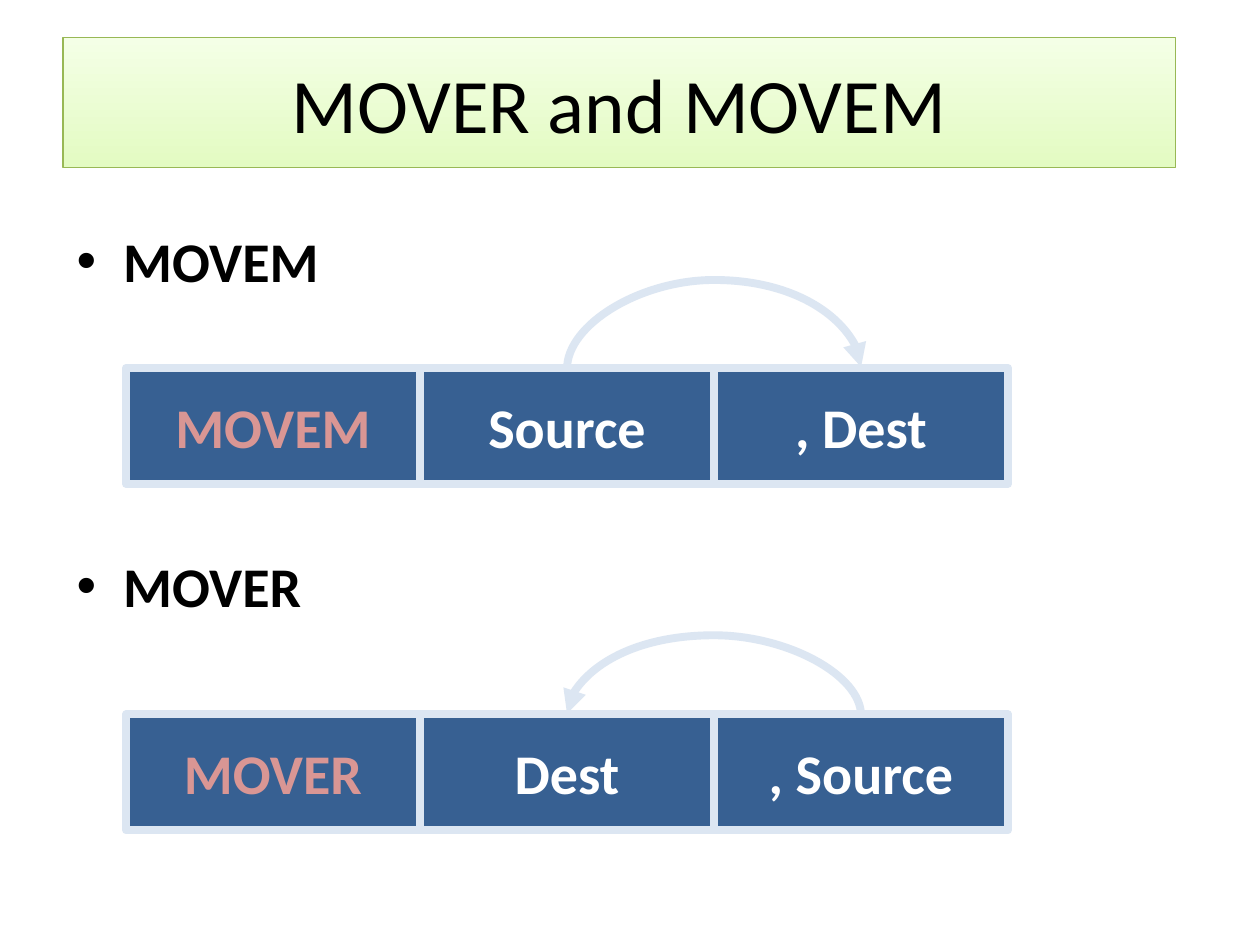
from pptx import Presentation
from pptx.dml.color import RGBColor
from pptx.enum.shapes import MSO_CONNECTOR, MSO_SHAPE
from pptx.enum.text import MSO_ANCHOR, PP_ALIGN
from pptx.oxml.ns import qn
from pptx.util import Inches, Pt
from lxml import etree

RECTANGLE = MSO_SHAPE.RECTANGLE
CURVE = MSO_CONNECTOR.CURVE
MIDDLE = MSO_ANCHOR.MIDDLE
CENTER = PP_ALIGN.CENTER
TOP_SIDE = 0

FONT = "Calibri"
COLORS = {
    "text": "000000",
    "title_bottom": "E3FBC2",
    "title_top": "F4FFE6",
    "title_line": "98B855",
    "cell": "376092",
    "cell_line": "DCE6F2",
    "opcode": "D99694",
    "operand": "FFFFFF",
}


def color(name):
    return RGBColor.from_string(COLORS[name])


def style_text(paragraph, size, color_name, bold=False):
    font = paragraph.runs[0].font
    font.name = FONT
    font.size = Pt(size)
    font.bold = bold
    font.color.rgb = color(color_name)


def add_box(shapes, left, top, width, height, text, size, color_name, bold=False):
    box = shapes.add_shape(RECTANGLE, left, top, width, height)
    box.shadow.inherit = False
    frame = box.text_frame
    frame.word_wrap = True
    frame.vertical_anchor = MIDDLE
    frame.text = text
    frame.paragraphs[0].alignment = CENTER
    style_text(frame.paragraphs[0], size, color_name, bold)
    return box


def add_title(slide, left, top, width, height, text):
    title = add_box(slide.shapes, left, top, width, height, text, 44, "text")
    title.fill.gradient()
    title.fill.gradient_angle = 90
    for stop, name in zip(title.fill.gradient_stops, ("title_bottom", "title_top")):
        stop.color.rgb = color(name)
    title.line.color.rgb = color("title_line")
    title.line.width = Pt(0.75)


def add_bullet(slide, left, top, width, height, text):
    frame = slide.shapes.add_textbox(left, top, width, height).text_frame
    frame.word_wrap = True
    frame.text = text
    paragraph = frame.paragraphs[0]
    properties = paragraph._p.get_or_add_pPr()
    properties.set("marL", str(Inches(0.38)))
    properties.set("indent", str(-Inches(0.37)))
    etree.SubElement(properties, qn("a:buFont")).set("typeface", "Arial")
    etree.SubElement(properties, qn("a:buChar")).set("char", "•")
    style_text(paragraph, 32, "text", True)


def add_arc(shapes, source, target, rise):
    start = source.left + source.width // 2
    end = target.left + target.width // 2
    span = abs(end - start)
    depth = Pt(1)
    arc = shapes.add_connector(CURVE, start, source.top, end, target.top)
    arc.begin_connect(source, TOP_SIDE)
    arc.end_connect(target, TOP_SIDE)
    arc.line.color.rgb = color("cell_line")
    arc.line.width = Pt(4.5)

    properties = arc._element.spPr
    transform = properties.find(qn("a:xfrm"))
    rightward = end > start
    transform.set("rot", str((90 if rightward else 270) * 60000))
    transform.set("flipH", str(int(rightward)))
    transform.set("flipV", "1")
    arc.left = (start + end - depth) // 2
    arc.top = source.top - span // 2
    arc.width, arc.height = depth, span

    geometry = properties.find(qn("a:prstGeom"))
    adjustments = geometry.find(qn("a:avLst"))
    guide = etree.SubElement(adjustments, qn("a:gd"))
    guide.set("name", "adj1")
    guide.set("fmla", f"val {round(rise / depth * 100000)}")
    line = properties.find(qn("a:ln"))
    etree.SubElement(line, qn("a:tailEnd")).set("type", "triangle")
    etree.SubElement(properties, qn("a:effectLst"))


def add_instruction(slide, left, top, width, height, words, source, target, rise):
    shapes = slide.shapes.add_group_shape().shapes
    cell_width = width // len(words)
    cells = []
    for index, word in enumerate(words):
        text_color = "operand" if index else "opcode"
        cell = add_box(shapes, left + index * cell_width, top, cell_width, height,
                       word, 32, text_color, True)
        cell.fill.solid()
        cell.fill.fore_color.rgb = color("cell")
        cell.line.color.rgb = color("cell_line")
        cell.line.width = Pt(4.5)
        cells.append(cell)
    add_arc(shapes, cells[source], cells[target], rise)


def main():
    deck = Presentation()
    deck.slide_width, deck.slide_height = Inches(10), Inches(7.5)
    slide = deck.slides.add_slide(deck.slide_layouts[6])
    add_title(slide, Inches(0.5), Inches(0.3), Inches(8.83), Inches(1.03),
              "MOVER and MOVEM")
    add_bullet(slide, Inches(0.5), Inches(1.75), Inches(4), Inches(1.08), "MOVEM")
    add_bullet(slide, Inches(0.5), Inches(4.33), Inches(4), Inches(0.75), "MOVER")
    add_instruction(slide, Inches(1), Inches(2.92), Inches(7), Inches(0.92),
                    ("MOVEM", "Source", ", Dest"), 1, 2, Inches(0.71))
    add_instruction(slide, Inches(1), Inches(5.67), Inches(7), Inches(0.92),
                    ("MOVER", "Dest", ", Source"), 2, 1, Inches(0.64))
    deck.save("out.pptx")


if __name__ == "__main__":
    main()
